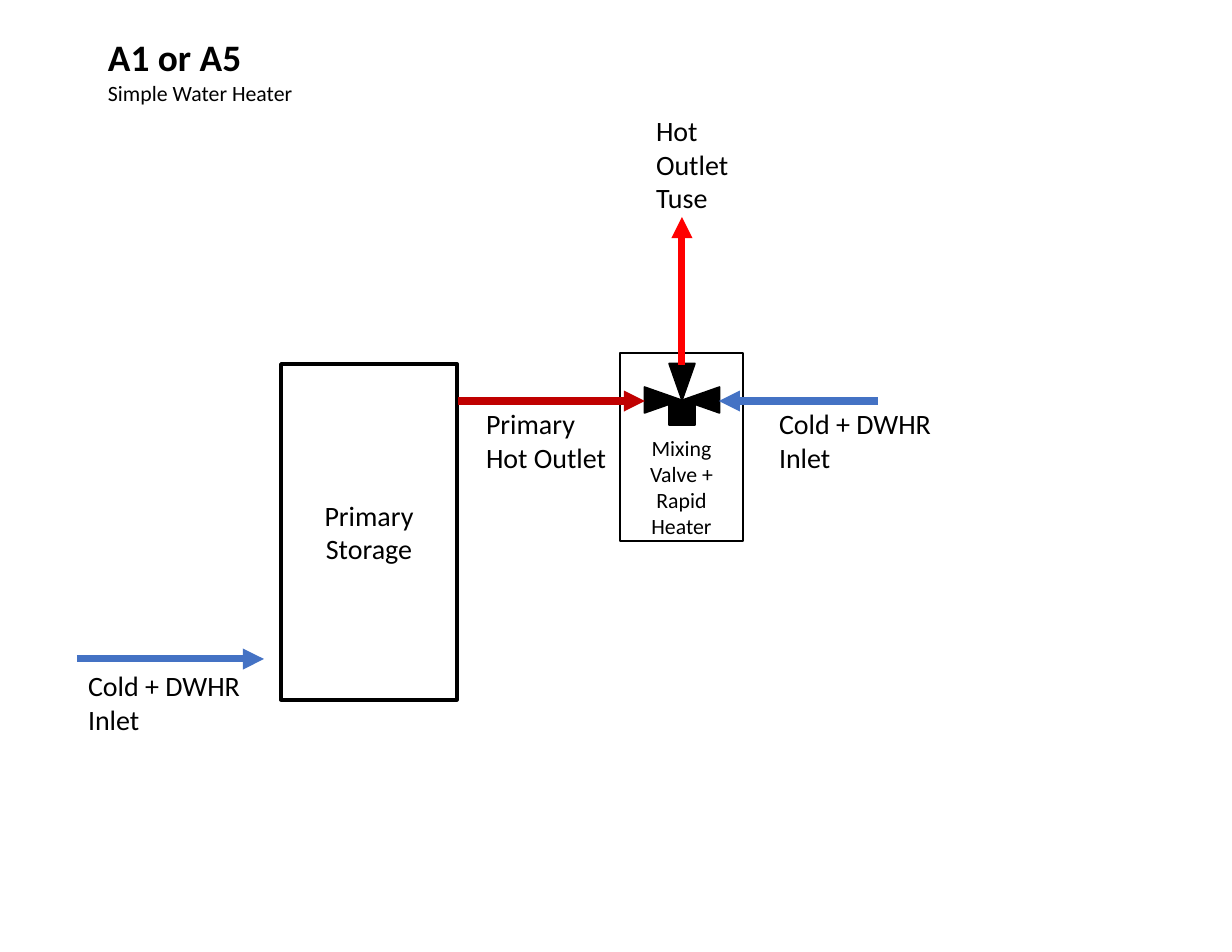
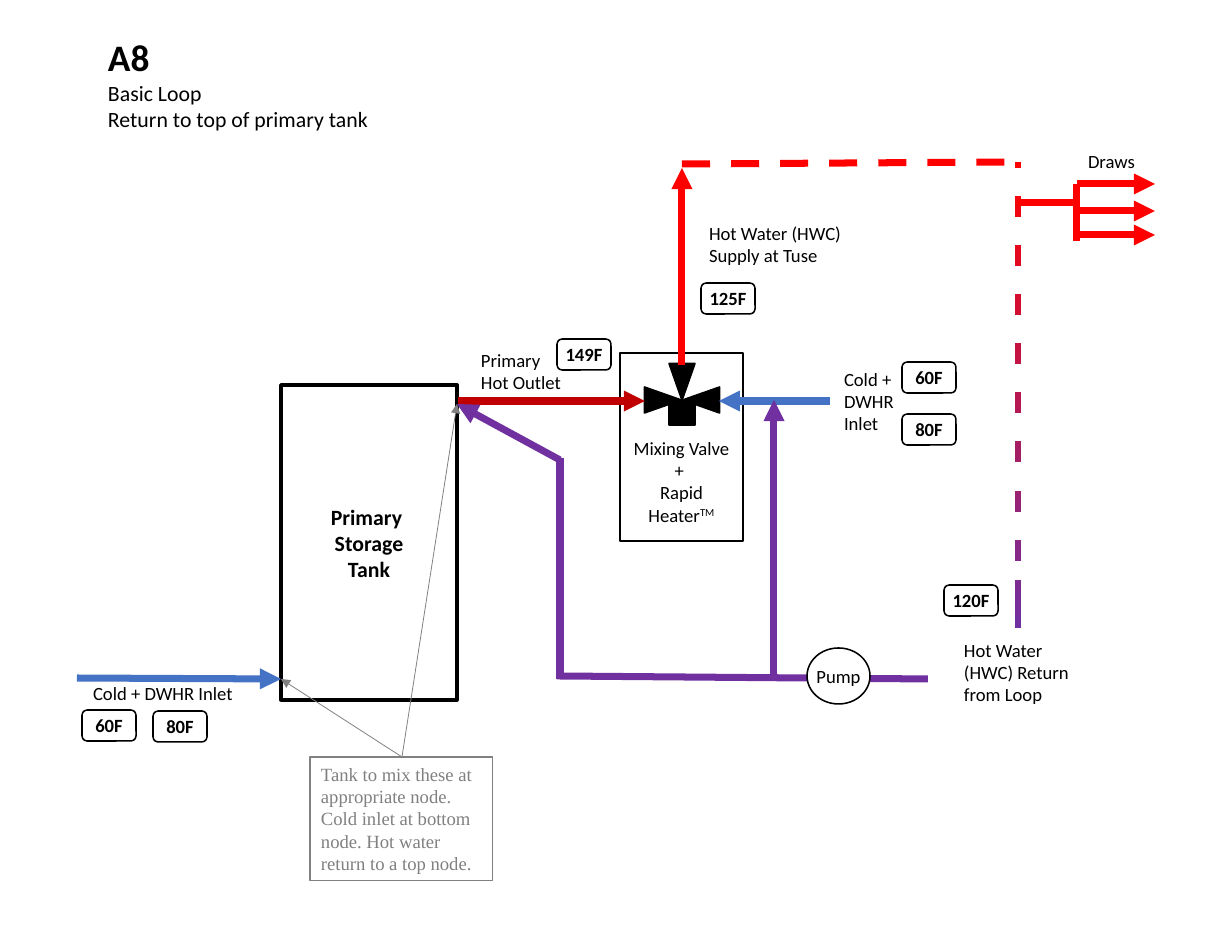
"""Two water-heater piping diagrams: a simple heater and a basic loop."""
from dataclasses import dataclass

import lxml.etree
import pptx
import pptx.dml.color
import pptx.enum.dml
import pptx.enum.shapes
import pptx.enum.text
import pptx.oxml.ns
import pptx.util

PIXELS_PER_INCH = 112
SHAPE = pptx.enum.shapes.MSO_SHAPE
ALIGN = pptx.enum.text.PP_ALIGN
ANCHOR = pptx.enum.text.MSO_ANCHOR


@dataclass(frozen=True)
class Theme:
    """Colours, fonts, type sizes and line widths (points) of the deck."""
    ink: str = "000000"
    paper: str = "FFFFFF"
    cold: str = "4472C4"
    primary: str = "C00000"
    hot: str = "FF0000"
    loop: str = "7030A0"
    note: str = "808080"
    font: str = "Calibri"
    note_font: str = "Times New Roman"
    title: int = 24
    large: int = 18
    medium: int = 14
    small: int = 12
    pipe: float = 4.5
    wall: float = 2.25
    outline: float = 1
    note_outline: float = 0.75
    pointer: float = 0.5


THEME = Theme()
VALVE_X, VALVE_Y = 682, 401
TANK_LEFT, TANK_WIDTH = 281, 176
PILL_WIDTH, PILL_HEIGHT = 54, 31


def px(*lengths):
    """Turn pixel lengths into EMU."""
    return [round(length * 914400 / PIXELS_PER_INCH) for length in lengths]


def rgb(color):
    """Turn a hex string into a colour."""
    return pptx.dml.color.RGBColor.from_string(color)


def write(box, lines, size, bold=False, color=THEME.ink, font=THEME.font,
          align=ALIGN.LEFT, anchor=ANCHOR.TOP):
    """Fill a box with one paragraph per line and return its paragraphs."""
    frame = box.text_frame
    frame.word_wrap = True
    frame.vertical_anchor = anchor
    paras = []
    for index, line in enumerate(lines):
        para = frame.add_paragraph() if index else frame.paragraphs[0]
        para.alignment = align
        add_span(para, line, size, bold, color, font)
        paras.append(para)
    return paras


def add_span(para, text, size, bold=False, color=THEME.ink, font=THEME.font):
    """Add one formatted run to a paragraph."""
    span = para.add_run()
    span.text = text
    span.font.size = pptx.util.Pt(size)
    span.font.bold = bold
    span.font.name = font
    span.font.color.rgb = rgb(color)
    return span


def add_label(page, area, lines, size=THEME.small):
    """Add a free text label that grows with its text."""
    box = page.shapes.add_textbox(*px(*area))
    paras = write(box, lines, size)
    box.text_frame.auto_size = pptx.enum.text.MSO_AUTO_SIZE.SHAPE_TO_FIT_TEXT
    return paras


def add_title(page, height, title, *subtitles):
    """Add the bold slide title with its smaller lines below."""
    paras = add_label(page, (97, 29, 333, height), [title, *subtitles], THEME.medium)
    title_font = paras[0].runs[0].font
    title_font.size = pptx.util.Pt(THEME.title)
    title_font.bold = True


def add_block(shapes, kind, area, fill=THEME.paper, line=THEME.ink,
              width=THEME.outline):
    """Add a preset shape; a fill of None leaves it open."""
    block = shapes.add_shape(kind, *px(*area))
    block.shadow.inherit = False
    if fill:
        block.fill.solid()
        block.fill.fore_color.rgb = rgb(fill)
    else:
        block.fill.background()
    block.line.color.rgb = rgb(line)
    block.line.width = pptx.util.Pt(width)
    return block


def add_pipe(shapes, start, end, color, width=THEME.pipe, arrow=True, dashed=False):
    """Add a straight pipe, with an arrowhead at its end if asked."""
    pipe = shapes.add_connector(
        pptx.enum.shapes.MSO_CONNECTOR.STRAIGHT, *px(*start, *end))
    pipe.line.color.rgb = rgb(color)
    pipe.line.width = pptx.util.Pt(width)
    if dashed:
        pipe.line.dash_style = pptx.enum.dml.MSO_LINE.DASH
    properties = pipe._element.spPr
    if arrow:
        outline = properties.find(pptx.oxml.ns.qn("a:ln"))
        lxml.etree.SubElement(outline, pptx.oxml.ns.qn("a:tailEnd"), type="triangle")
    lxml.etree.SubElement(properties, pptx.oxml.ns.qn("a:effectLst"))


def add_tank(page, top, height, lines, size, bold=False):
    """Add the primary storage tank."""
    tank = add_block(page.shapes, SHAPE.RECTANGLE,
                     (TANK_LEFT, top, TANK_WIDTH, height), width=THEME.wall)
    write(tank, lines, size, bold, align=ALIGN.CENTER, anchor=ANCHOR.MIDDLE)


def add_valve(page):
    """Add the three-way valve: three triangles meeting above a stem."""
    shapes = page.shapes.add_group_shape().shapes
    width, height, reach = 26, 37, 19
    for across, down, turn in ((0, -reach, 180), (reach, -1, 270), (-reach, -1, 90)):
        area = (VALVE_X + across - width / 2, VALVE_Y + down - height / 2, width, height)
        wing = add_block(shapes, SHAPE.ISOSCELES_TRIANGLE, area, fill=THEME.ink)
        wing.rotation = turn
    add_block(shapes, SHAPE.RECTANGLE, (VALVE_X - width / 2, VALVE_Y, width, 24),
              fill=THEME.ink)


def add_mixing_station(page, lines, size, text_top, cold_start, hot_end):
    """Add the boxed valve with its three pipes; return the box paragraphs."""
    add_valve(page)
    box = add_block(page.shapes, SHAPE.RECTANGLE, (620, 353, 123, 188), fill=None)
    paras = write(box, lines, size, align=ALIGN.CENTER, anchor=ANCHOR.MIDDLE)
    box.text_frame.margin_top = px(text_top)[0]
    add_pipe(page.shapes, (458, VALVE_Y), (645, VALVE_Y), THEME.primary)
    add_pipe(page.shapes, (cold_start, VALVE_Y), (719, VALVE_Y), THEME.cold)
    add_pipe(page.shapes, (VALVE_X, 365), (VALVE_X, hot_end), THEME.hot)
    return paras


def add_badge(page, kind, area, text, bold):
    """Add a small outlined shape with tight centred text."""
    badge = add_block(page.shapes, kind, area)
    write(badge, [text], THEME.small, bold, align=ALIGN.CENTER, anchor=ANCHOR.MIDDLE)
    frame = badge.text_frame
    frame.margin_left = frame.margin_right = frame.margin_top = frame.margin_bottom = 0


def add_return_riser(page):
    """Add the riser that cools from hot to loop colour, cut into dashes."""
    shapes = page.shapes.add_group_shape().shapes
    riser = add_block(shapes, SHAPE.RECTANGLE, (1015, 162, 6, 466))
    riser.line.fill.background()
    riser.fill.gradient()
    riser.fill.gradient_angle = 270
    for stop, color, position in zip(riser.fill.gradient_stops,
                                     (THEME.hot, THEME.loop), (0, 1)):
        stop.color.rgb = rgb(color)
        stop.position = position
    add_pipe(shapes, (1019, 168), (1019, 580), THEME.paper, arrow=False, dashed=True)


def add_draws(page):
    """Add the three draws that branch off the hot supply."""
    bus = 1077
    for y in (184, 211, 235):
        add_pipe(page.shapes, (bus, y), (1155, y), THEME.hot)
    add_pipe(page.shapes, (bus, 184), (bus, 241), THEME.hot, arrow=False)
    add_pipe(page.shapes, (bus, 203), (1018, 203), THEME.hot, arrow=False)
    add_label(page, (bus, 144, 102, 34), ["Draws"])


def add_mixing_note(page):
    """Add the grey note and its pointers to the tank nodes."""
    note = add_block(page.shapes, SHAPE.RECTANGLE, (310, 757, 183, 124), fill=None,
                     line=THEME.note, width=THEME.note_outline)
    write(note, ["Tank to mix these at appropriate node. Cold inlet at bottom node. "
                 "Hot water return to a top node."],
          THEME.small, color=THEME.note, font=THEME.note_font)
    for node in ((281, 679), (457, 404)):
        add_pipe(page.shapes, (402, 757), node, THEME.note, THEME.pointer)


def build_simple_heater(page):
    """Slide 1: simple water heater."""
    add_tank(page, 364, 336, ["Primary Storage"], THEME.large)
    add_mixing_station(page, ["Mixing Valve + Rapid Heater"], THEME.medium,
                       text_top=85, cold_start=878, hot_end=217)
    add_pipe(page.shapes, (77, 659), (264, 659), THEME.cold)
    for area, lines in (
            ((77, 663, 187, 80), ["Cold + DWHR Inlet"]),
            ((475, 401, 169, 80), ["Primary ", "Hot Outlet"]),
            ((768, 401, 187, 80), ["Cold + DWHR Inlet"]),
            ((645, 108, 102, 113), ["Hot Outlet", "Tuse"])):
        add_label(page, area, lines, THEME.large)
    add_title(page, 83, "A1 or A5", "Simple Water Heater")


def build_basic_loop(page):
    """Slide 2: basic loop returning to the top of the tank."""
    shapes = page.shapes
    add_tank(page, 385, 315, ["Primary ", "Storage", "Tank"], THEME.medium, bold=True)
    paras = add_mixing_station(page, ["Mixing Valve + ", "Rapid Heater"], THEME.small,
                               text_top=74, cold_start=830, hot_end=168)
    mark = add_span(paras[-1], "TM", THEME.small)
    mark._r.get_or_add_rPr().set("baseline", "30000")
    add_pipe(shapes, (77, 678), (281, 679), THEME.cold)
    for start, end, arrow in (
            ((928, 679), (557, 676), False),
            ((774, 676), (774, 400), True),
            ((560, 679), (560, 458), False),
            ((560, 460), (457, 404), True)):
        add_pipe(shapes, start, end, THEME.loop, arrow=arrow)
    add_pipe(shapes, (VALVE_X, 164), (1018, 162), THEME.hot, arrow=False, dashed=True)
    add_return_riser(page)
    add_draws(page)
    for area, lines in (
            ((82, 676, 187, 34), ["Cold + DWHR Inlet"]),
            ((470, 343, 109, 56), ["Primary ", "Hot Outlet"]),
            ((833, 362, 104, 80), ["Cold + DWHR Inlet"]),
            ((698, 216, 160, 56), ["Hot Water (HWC) ", "Supply at Tuse"]),
            ((953, 633, 130, 80), ["Hot Water (HWC) Return from Loop"])):
        add_label(page, area, lines)
    add_badge(page, SHAPE.OVAL, (807, 648, 63, 56), "Pump", bold=False)
    for left, top, text in (
            (82, 710, "60F"), (153, 711, "80F"), (557, 339, "149F"),
            (701, 283, "125F"), (902, 362, "60F"), (902, 414, "80F"),
            (944, 585, "120F")):
        add_badge(page, SHAPE.ROUNDED_RECTANGLE,
                  (left, top, PILL_WIDTH, PILL_HEIGHT), text, bold=True)
    add_mixing_note(page)
    add_title(page, 110, "A8", "Basic Loop", "Return to top of primary tank")


def main():
    """Build both slides and save the deck."""
    deck = pptx.Presentation()
    deck.slide_width, deck.slide_height = px(1232, 952)
    for build in (build_simple_heater, build_basic_loop):
        build(deck.slides.add_slide(deck.slide_layouts[6]))
    deck.save("out.pptx")


main()
